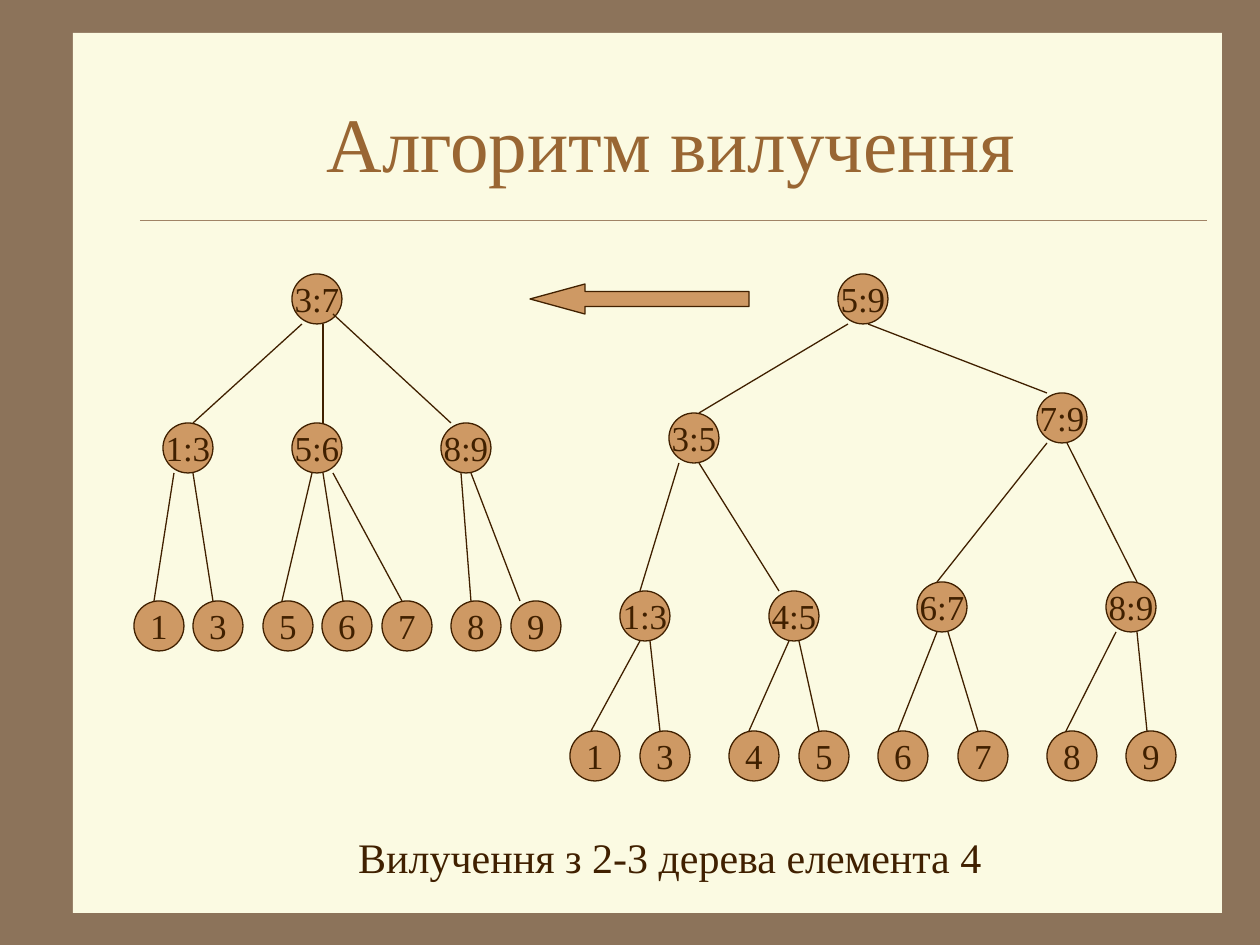
from dataclasses import dataclass

from pptx import Presentation
from pptx.dml.color import RGBColor
from pptx.enum.shapes import MSO_CONNECTOR, MSO_SHAPE
from pptx.enum.text import MSO_ANCHOR, MSO_AUTO_SIZE, PP_ALIGN
from pptx.oxml.ns import qn
from pptx.util import Emu, Pt

PX_PER_INCH = 126
NODE_SIZE = 50
FONT = "Times New Roman"
COLORS = {
    "background": "8C735A",
    "panel": "FBFAE2",
    "rule": "A08366",
    "title": "996633",
    "node": "CE9964",
    "ink": "402000",
}


@dataclass
class Node:
    label: str
    left: int
    top: int
    edge_start: int = 0
    edge_end: int = 0
    lift: int = 0
    children: tuple = ()


def leaves(top, *rows):
    return tuple(Node(label, left, top, start, end) for label, left, start, end in rows)


RESULT_TREE = Node("3:7", 292, 274, children=(
    Node("1:3", 163, 423, 302, 193, children=leaves(
        601, ("1", 134, 174, 154), ("3", 193, 193, 213))),
    Node("5:6", 292, 423, 323, 323, children=leaves(
        601, ("5", 263, 312, 282), ("6", 322, 323, 343), ("7", 382, 333, 402))),
    Node("8:9", 441, 423, 333, 451, lift=10, children=leaves(
        601, ("8", 451, 461, 471), ("9", 511, 471, 520))),
))

SOURCE_TREE = Node("5:9", 838, 274, children=(
    Node("3:5", 669, 413, 848, 699, children=(
        Node("1:3", 620, 591, 679, 640, children=leaves(
            731, ("1", 570, 640, 591), ("3", 640, 650, 660))),
        Node("4:5", 769, 591, 699, 779, children=leaves(
            731, ("4", 729, 789, 749), ("5", 799, 799, 819))))),
    Node("7:9", 1037, 393, 868, 1047, children=(
        Node("6:7", 917, 582, 1047, 937, children=leaves(
            731, ("6", 878, 937, 898), ("7", 958, 948, 978))),
        Node("8:9", 1106, 582, 1067, 1137, children=leaves(
            731, ("8", 1047, 1116, 1066), ("9", 1126, 1137, 1147))))),
))


def px(*lengths):
    return [Emu(round(length * 914400 / PX_PER_INCH)) for length in lengths]


def color(name):
    return RGBColor.from_string(COLORS[name])


def write(frame, text, size=20, ink="ink", anchor=MSO_ANCHOR.MIDDLE, wrap=True):
    frame.word_wrap = wrap
    frame.auto_size = MSO_AUTO_SIZE.NONE
    frame.vertical_anchor = anchor
    paragraph = frame.paragraphs[0]
    paragraph.alignment = PP_ALIGN.CENTER
    run = paragraph.add_run()
    run.text = text
    run.font.name = FONT
    run.font.size = Pt(size)
    run.font.color.rgb = color(ink)


def add_block(slide, preset, box, fill="node", outline="ink"):
    block = slide.shapes.add_shape(preset, *px(*box))
    block.shadow.inherit = False
    block.fill.solid()
    block.fill.fore_color.rgb = color(fill)
    if outline:
        block.line.color.rgb = color(outline)
        block.line.width = Pt(0.75)
    else:
        block.line.fill.background()
    return block


def add_line(slide, ends, ink="ink", width=0.75):
    line = slide.shapes.add_connector(MSO_CONNECTOR.STRAIGHT, *px(*ends))
    line.line.color.rgb = color(ink)
    line.line.width = Pt(width)
    properties = line._element.spPr
    properties.append(properties.makeelement(qn("a:effectLst"), {}))


def add_nodes(slide, node):
    circle = add_block(slide, MSO_SHAPE.OVAL, (node.left, node.top, NODE_SIZE, NODE_SIZE))
    write(circle.text_frame, node.label, wrap=False)
    for child in node.children:
        add_nodes(slide, child)


def add_edges(slide, node):
    for child in node.children:
        start_y = node.top + NODE_SIZE - child.lift
        add_line(slide, (child.edge_start, start_y, child.edge_end, child.top))
        add_edges(slide, child)


def add_frame(slide):
    slide.background.fill.solid()
    slide.background.fill.fore_color.rgb = color("background")
    add_block(slide, MSO_SHAPE.RECTANGLE, (73, 33, 1149, 880), "panel", None)
    add_line(slide, (140, 220, 1207, 220), "rule", 0.25)


def add_title(slide, text):
    title = slide.shapes.title
    title.left, title.top, title.width, title.height = px(136, 63, 1071, 158)
    write(title.text_frame, text, size=44, ink="title")
    slide.shapes._spTree.append(title._element)


def add_caption(slide, text):
    caption = slide.shapes.add_textbox(*px(144, 825, 1052, 63))
    write(caption.text_frame, text, size=24, anchor=MSO_ANCHOR.TOP)


def main():
    deck = Presentation()
    deck.slide_width, deck.slide_height = px(1260, 945)
    slide = deck.slides.add_slide(deck.slide_layouts[5])
    add_frame(slide)
    add_title(slide, "Алгоритм вилучення")
    for tree in (RESULT_TREE, SOURCE_TREE):
        add_nodes(slide, tree)
        add_edges(slide, tree)
    add_caption(slide, "Вилучення з 2-3 дерева елемента 4")
    arrow = add_block(slide, MSO_SHAPE.LEFT_ARROW, (530, 284, 219, 30))
    arrow.adjustments[0] = 0.5
    arrow.adjustments[1] = 1.83
    deck.save("out.pptx")


if __name__ == "__main__":
    main()
